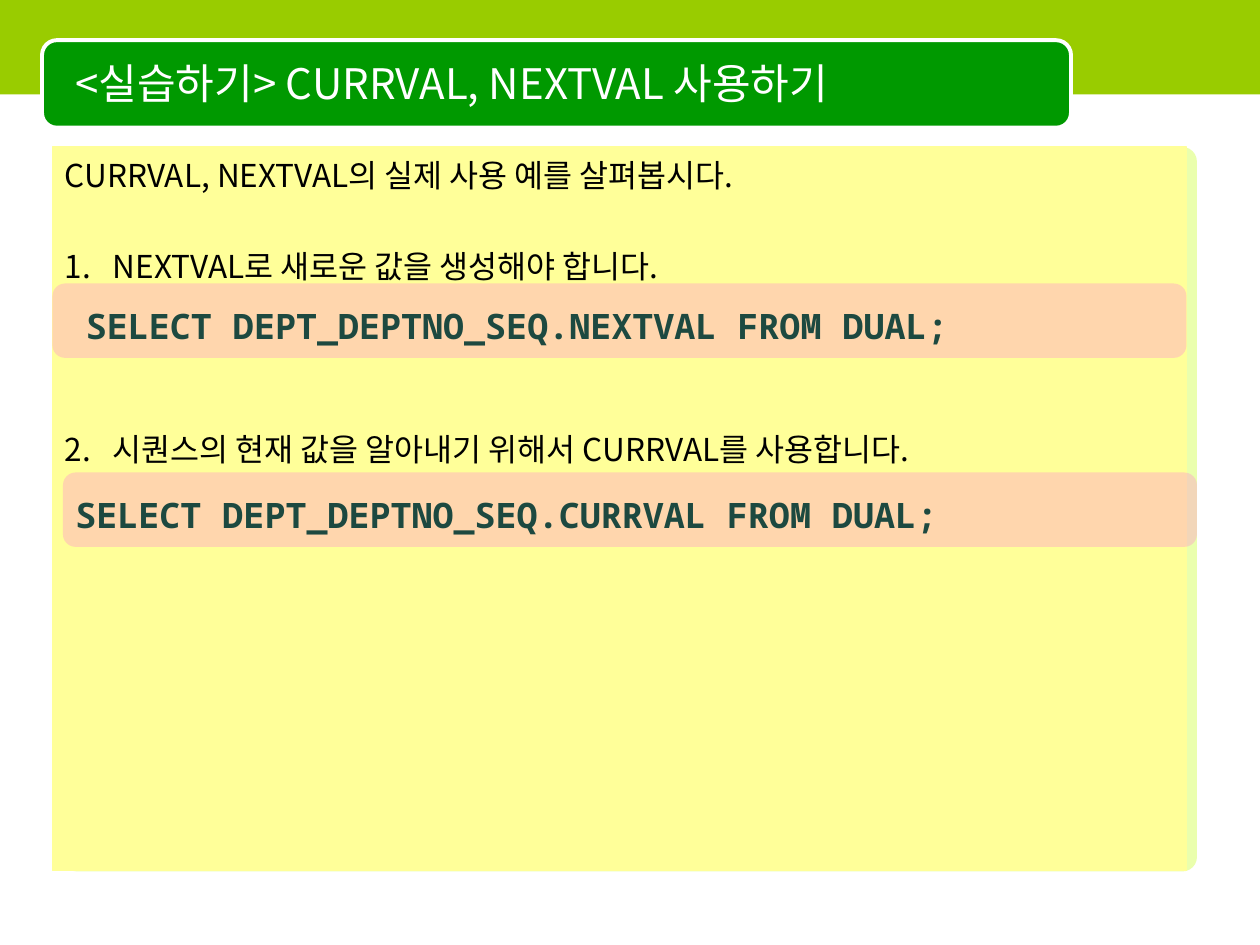
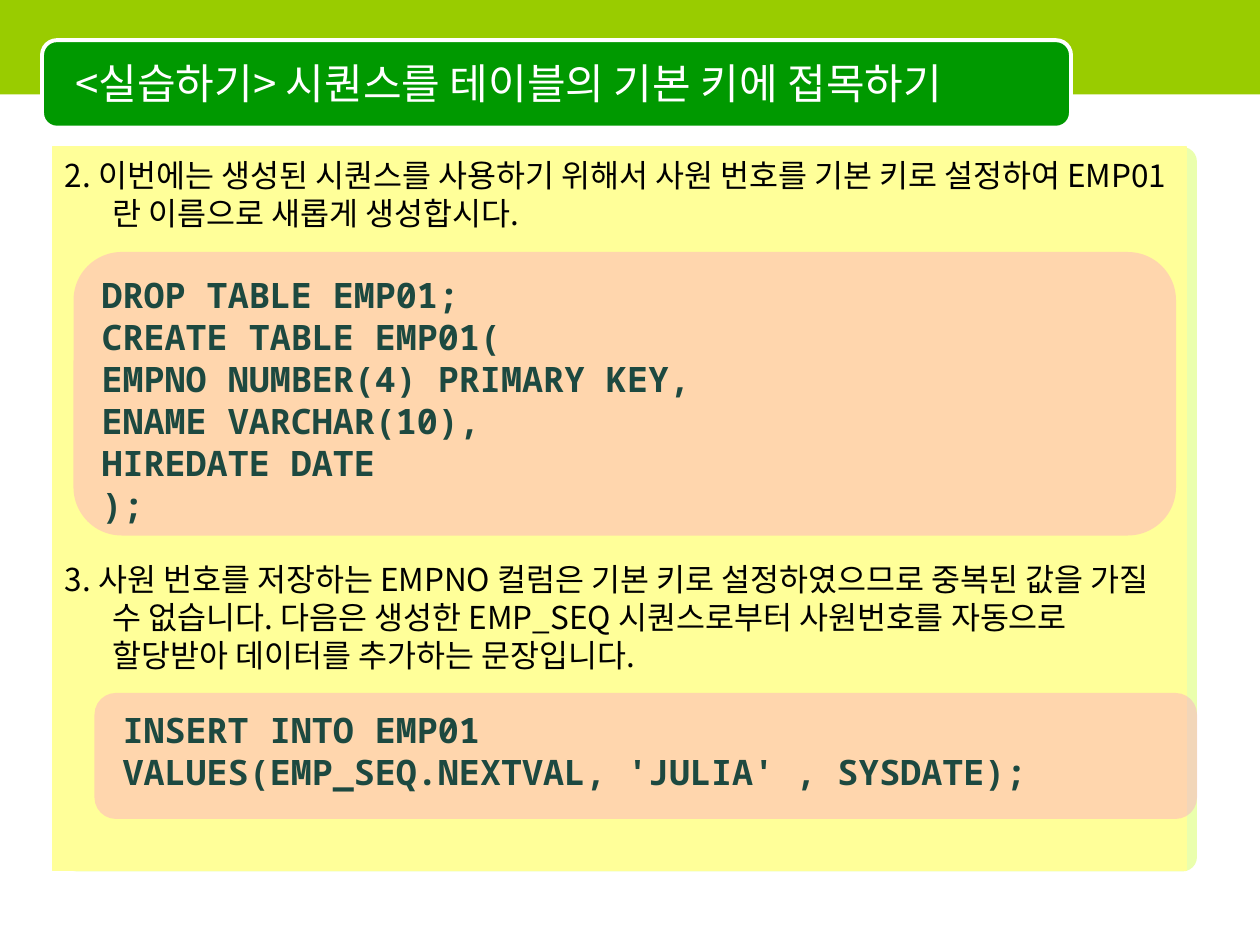
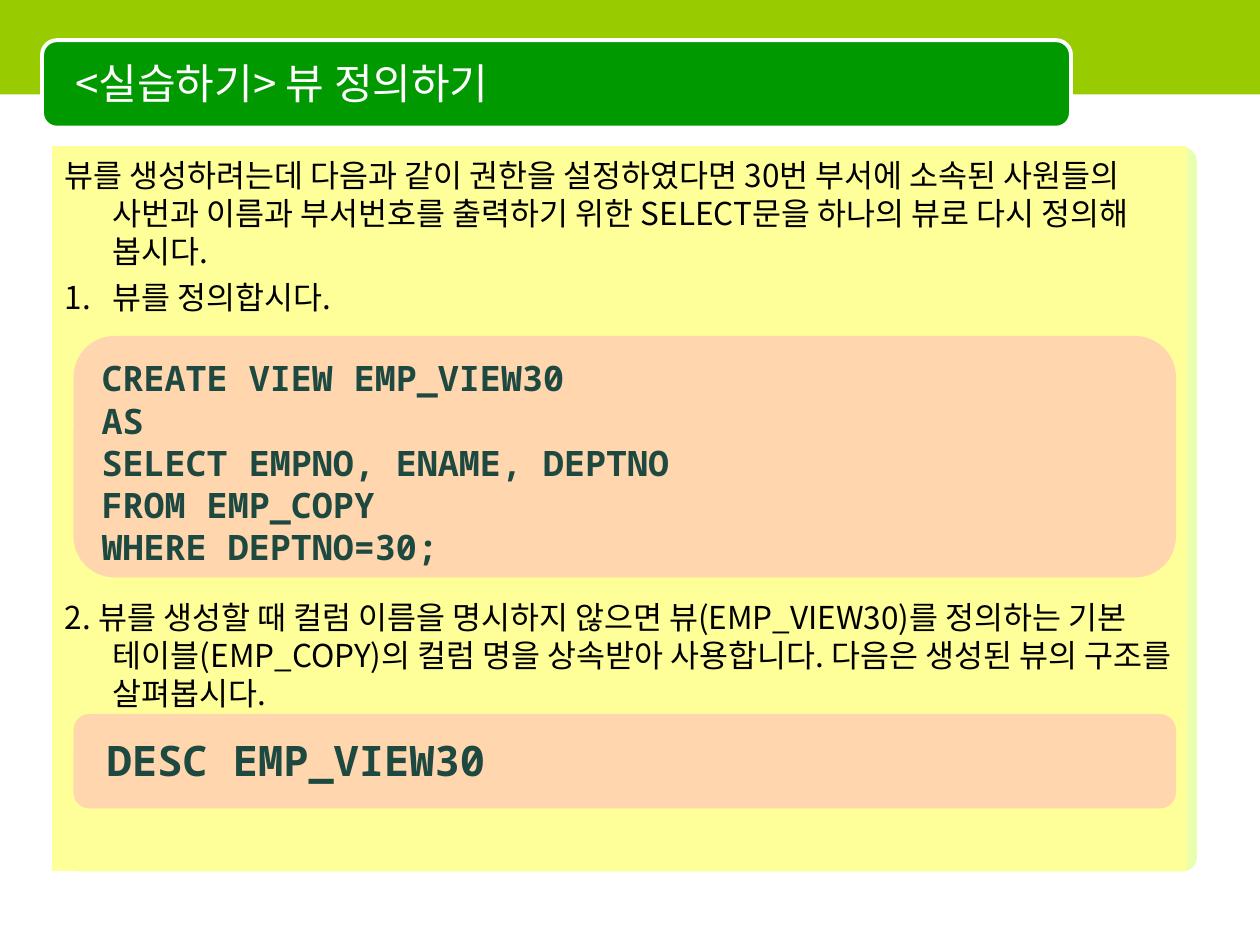
"""Build three SQL practice slides on sequences and views."""
from lxml.etree import SubElement
from pptx import Presentation
from pptx.dml.color import RGBColor
from pptx.enum.shapes import MSO_SHAPE as Shape
from pptx.enum.text import MSO_ANCHOR as Anchor, PP_ALIGN as Align
from pptx.oxml.ns import qn
from pptx.util import Pt

WHITE = RGBColor(0xFF, 0xFF, 0xFF)
BLACK = RGBColor(0x00, 0x00, 0x00)
LIME = RGBColor(0x99, 0xCC, 0x00)
GREEN = RGBColor(0x00, 0x99, 0x00)
PALE_LIME = RGBColor(0xCC, 0xFF, 0x33)
YELLOW = RGBColor(0xFF, 0xFF, 0x99)
PINK = RGBColor(0xFF, 0x99, 0xCC)
CODE_GREEN = RGBColor(0x1D, 0x49, 0x40)
SANS = "Noto Sans CJK KR"
MONO = "Noto Sans Mono"
BODY_PITCH = 26.1
BODY_SPACE = 4.5
HANGING = 27.5

SLIDES = [
    {
        "title": "<실습하기> CURRVAL, NEXTVAL 사용하기",
        "body": [
            (0, None, "CURRVAL, NEXTVAL의 실제 사용 예를 살펴봅시다."),
            (1, 1, "NEXTVAL로 새로운 값을 생성해야 합니다."),
            (3, 2, "시퀀스의 현재 값을 알아내기 위해서 CURRVAL를 사용합니다."),
        ],
        "code": [
            ((30, 162, 648, 42.5), (42, 168, 648, 31.5), 20,
             "SELECT DEPT_DEPTNO_SEQ.NEXTVAL FROM DUAL;"),
            ((36, 270, 648, 42.5), (36, 276, 648, 31.5), 20,
             "SELECT DEPT_DEPTNO_SEQ.CURRVAL FROM DUAL;"),
        ],
    },
    {
        "title": "<실습하기> 시퀀스를 테이블의 기본 키에 접목하기",
        "body": [
            (0, None, "2. 이번에는 생성된 시퀀스를 사용하기 위해서 사원 번호를 기본 키로 설정하여 "
                      "EMP01란 이름으로 새롭게 생성합시다."),
            (7, None, "3. 사원 번호를 저장하는 EMPNO 컬럼은 기본 키로 설정하였으므로 중복된 값을 "
                      "가질 수 없습니다. 다음은 생성한 EMP_SEQ 시퀀스로부터 사원번호를 자동으로 "
                      "할당받아 데이터를 추가하는 문장입니다."),
        ],
        "code": [
            ((42, 144, 630, 162), (51, 150, 611, 151), 20,
             "DROP TABLE EMP01;\nCREATE TABLE EMP01(\nEMPNO NUMBER(4) PRIMARY KEY,\n"
             "ENAME VARCHAR(10),\nHIREDATE DATE\n);"),
            ((54, 396, 630, 72), (63, 399, 611, 55.5), 20,
             "INSERT INTO EMP01\nVALUES(EMP_SEQ.NEXTVAL, 'JULIA' , SYSDATE);"),
        ],
    },
    {
        "title": "<실습하기> 뷰 정의하기",
        "body": [
            (0, None, "뷰를 생성하려는데 다음과 같이 권한을 설정하였다면 30번 부서에 소속된 사원들의 "
                      "사번과 이름과 부서번호를 출력하기 위한 SELECT문을 하나의 뷰로 다시 정의해 봅시다."),
            (0, 1, "뷰를 정의합시다."),
            (6, None, "2. 뷰를 생성할 때 컬럼 이름을 명시하지 않으면 뷰(EMP_VIEW30)를 정의하는 기본 "
                      "테이블(EMP_COPY)의 컬럼 명을 상속받아 사용합니다. 다음은 생성된 뷰의 구조를 살펴봅시다."),
        ],
        "code": [
            ((42, 192, 630, 138), (51, 198, 611, 127.5), 20,
             "CREATE VIEW EMP_VIEW30\nAS\nSELECT EMPNO, ENAME, DEPTNO\n"
             "FROM EMP_COPY\nWHERE DEPTNO=30;"),
            ((42, 408, 630, 54), (54, 414, 360, 36), 24, "DESC EMP_VIEW30"),
        ],
    },
]


def add_panel(slide, kind, box, color, alpha=None, line=None, line_width=0.75, corner=None):
    """Add a filled preset shape without a shadow."""
    shape = slide.shapes.add_shape(kind, *map(Pt, box))
    shape.shadow.inherit = False
    shape.fill.solid()
    shape.fill.fore_color.rgb = color
    if alpha:
        fill_color = shape.fill._xPr.find(qn("a:solidFill"))[0]
        SubElement(fill_color, qn("a:alpha"), val=str(alpha * 1000))
    if line:
        shape.line.color.rgb = line
        shape.line.width = Pt(line_width)
    else:
        shape.line.fill.background()
    if corner:
        shape.adjustments[0] = corner
    return shape


def write_text(shape, text, size, font_name, color, line_height=None, top=3.6, bold=False):
    """Fill a shape with left-aligned text in one style."""
    frame = shape.text_frame
    frame.word_wrap = True
    frame.vertical_anchor = Anchor.TOP
    frame.margin_top = Pt(top)
    frame.text = text
    for paragraph in frame.paragraphs:
        paragraph.alignment = Align.LEFT
        if line_height:
            paragraph.line_spacing = Pt(line_height)
        for run in paragraph.runs:
            run.font.size = Pt(size)
            run.font.bold = bold
            run.font.name = font_name
            run.font.color.rgb = color
            SubElement(run._r.get_or_add_rPr(), qn("a:ea"), typeface=font_name)
    return frame


presentation = Presentation()
presentation.slide_width = Pt(720)
presentation.slide_height = Pt(540)

for content in SLIDES:
    slide = presentation.slides.add_slide(presentation.slide_layouts[6])
    add_panel(slide, Shape.ROUNDED_RECTANGLE, (36, 84, 648, 414), PALE_LIME, alpha=40, corner=0.02)
    add_panel(slide, Shape.RECTANGLE, (0, 0, 720, 54), LIME)
    add_panel(slide, Shape.ROUNDED_RECTANGLE, (24, 23, 588, 50), GREEN,
              line=WHITE, line_width=2.25, corner=0.17)

    title = slide.shapes.add_textbox(Pt(36), Pt(25), Pt(570), Pt(45))
    write_text(title, content["title"], 24, SANS, WHITE).vertical_anchor = Anchor.MIDDLE

    body = add_panel(slide, Shape.RECTANGLE, (30, 84, 648, 413.5), YELLOW, line=YELLOW)
    body_text = "\n".join(text for _, _, text in content["body"])
    body_frame = write_text(body, body_text, 18, SANS, BLACK, line_height=21.7, top=5)
    for paragraph, (skipped_lines, number, _) in zip(body_frame.paragraphs, content["body"]):
        paragraph.space_before = Pt(round(BODY_SPACE + skipped_lines * BODY_PITCH, 1))
        properties = paragraph._p.get_or_add_pPr()
        properties.set("marL", str(Pt(HANGING)))
        properties.set("indent", str(-Pt(HANGING)))
        if number:
            SubElement(properties, qn("a:buAutoNum"), type="arabicPeriod", startAt=str(number))

    for panel_box, text_box, size, code in content["code"]:
        add_panel(slide, Shape.ROUNDED_RECTANGLE, panel_box, PINK, alpha=40, corner=0.17)
        code_box = slide.shapes.add_textbox(*map(Pt, text_box))
        write_text(code_box, code, size, MONO, CODE_GREEN,
                   line_height=size * 1.2, top=6, bold=True)

presentation.save("out.pptx")
